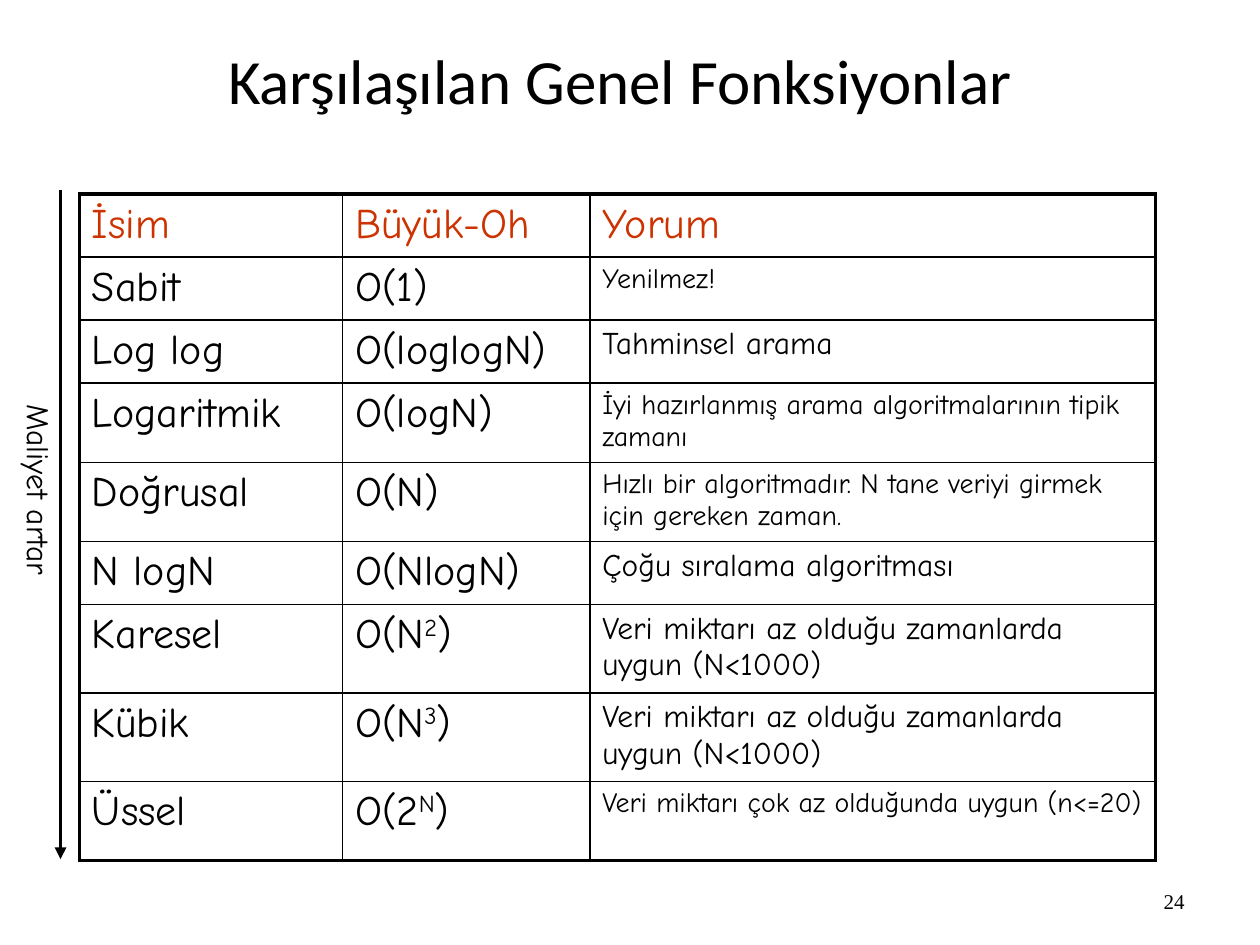
from lxml import etree
from pptx import Presentation
from pptx.dml.color import RGBColor
from pptx.enum.shapes import MSO_CONNECTOR
from pptx.enum.text import MSO_ANCHOR, MSO_AUTO_SIZE, PP_ALIGN
from pptx.oxml import parse_xml
from pptx.oxml.ns import nsdecls, qn
from pptx.util import Cm, Pt

STRAIGHT = MSO_CONNECTOR.STRAIGHT
MIDDLE = MSO_ANCHOR.MIDDLE
LEFT, CENTER, RIGHT = PP_ALIGN.LEFT, PP_ALIGN.CENTER, PP_ALIGN.RIGHT
FIT_SHAPE = MSO_AUTO_SIZE.SHAPE_TO_FIT_TEXT

BLACK = RGBColor(0x00, 0x00, 0x00)
RED = RGBColor(0xCC, 0x33, 0x00)
TITLE_ONLY = 5
THIN, THICK = 1, 2.25

COLUMN_WIDTHS = (5.31, 4.98, 11.4)
HEADER = ("İsim", "Büyük-Oh", "Yorum")
# name, cost as (base, exponent, end), comment, comment size, row height
FUNCTIONS = (
    ("Sabit", ("O(1)",), "Yenilmez!", 16, 1.27),
    ("Log log", ("O(loglogN)",), "Tahminsel arama", 18, 1.27),
    ("Logaritmik", ("O(logN)",),
     "İyi hazırlanmış arama algoritmalarının tipik zamanı", 16, 1.6),
    ("Doğrusal", ("O(N)",),
     "Hızlı bir algoritmadır. N tane veriyi girmek için gereken zaman.", 16, 1.6),
    ("N logN", ("O(NlogN)",), "Çoğu sıralama algoritması", 18, 1.27),
    ("Karesel", ("O(N", "2", ")"),
     "Veri miktarı az olduğu zamanlarda uygun (N<1000)", 18, 1.78),
    ("Kübik", ("O(N", "3", ")"),
     "Veri miktarı az olduğu zamanlarda uygun (N<1000)", 18, 1.78),
    ("Üssel", ("O(2", "N", ")"),
     "Veri miktarı çok az olduğunda uygun (n<=20)", 16, 1.6),
)


class SlideBuilder:
    title_font = "Calibri"
    body_font = "Comic Neue"
    number_font = "Times New Roman"

    def __init__(self, prs):
        self.s = prs.slides.add_slide(prs.slide_layouts[TITLE_ONLY])

    def add_runs(self, tf, parts, size, font, color=BLACK, align=LEFT):
        """Fill the first paragraph; every second part is superscript."""
        p = tf.paragraphs[0]
        p.alignment = align
        for i, part in enumerate(parts):
            r = p.add_run()
            r.text = part
            r.font.size, r.font.name = Pt(size), font
            r.font.color.rgb = color
            if i % 2:
                r.font._element.set("baseline", "30000")

    def title(self, text, x, y, w, h):
        sp = self.s.shapes.title
        sp.left, sp.top, sp.width, sp.height = Cm(x), Cm(y), Cm(w), Cm(h)
        sp.text_frame.vertical_anchor = MIDDLE
        self.add_runs(sp.text_frame, (text,), 36, self.title_font, align=CENTER)

    def text(self, text, x, y, w, h, size, font, align=LEFT):
        sp = self.s.shapes.add_textbox(Cm(x), Cm(y), Cm(w), Cm(h))
        sp.text_frame.word_wrap = True
        self.add_runs(sp.text_frame, (text,), size, font, align=align)
        return sp

    def arrow(self, x1, y1, x2, y2):
        line = self.s.shapes.add_connector(STRAIGHT, Cm(x1), Cm(y1), Cm(x2), Cm(y2))
        line.line.color.rgb = BLACK
        line.line.width = Pt(THICK)
        ln = line._element.spPr.find(qn("a:ln"))
        etree.SubElement(ln, qn("a:tailEnd"), type="triangle")
        etree.SubElement(line._element.spPr, qn("a:effectLst"))

    def borders(self, cell, widths):
        """Set left, right, top and bottom borders, given in points."""
        tcPr = cell._tc.get_or_add_tcPr()
        for i, (side, width) in enumerate(zip("LRTB", widths)):
            tcPr.insert(i, parse_xml(
                f'<a:ln{side} {nsdecls("a")} w="{int(Pt(width))}"><a:solidFill>'
                f'<a:srgbClr val="{BLACK}"/></a:solidFill></a:ln{side}>'))

    def table(self, x, y, widths, heights, rows):
        """Each row holds (parts, size, color) for every cell."""
        n_rows, n_cols = len(rows), len(widths)
        table = self.s.shapes.add_table(n_rows, n_cols, Cm(x), Cm(y),
                                        Cm(sum(widths)), Cm(sum(heights))).table
        table.first_row = table.horz_banding = False
        for col, width in zip(table.columns, widths):
            col.width = Cm(width)
        for i, (row, height) in enumerate(zip(rows, heights)):
            table.rows[i].height = Cm(height)
            for j, (parts, size, color) in enumerate(row):
                cell = table.cell(i, j)
                cell.fill.background()
                self.add_runs(cell.text_frame, parts, size, self.body_font, color)
                outer = (j == 0, j == n_cols - 1, i == 0, i == n_rows - 1)
                self.borders(cell, [THICK if edge else THIN for edge in outer])


def main():
    prs = Presentation()
    prs.slide_width, prs.slide_height = Cm(25.4), Cm(19.05)
    slide = SlideBuilder(prs)

    slide.title("Karşılaşılan Genel Fonksiyonlar", 1.12, 0.53, 22.76, 2.13)

    rows = [[((name,), 24, RED) for name in HEADER]]
    heights = [1.27]
    for name, cost, comment, size, height in FUNCTIONS:
        rows.append([((name,), 24, BLACK), (cost, 24, BLACK),
                     ((comment,), size, BLACK)])
        heights.append(height)
    slide.table(1.6, 3.91, COLUMN_WIDTHS, heights, rows)

    slide.arrow(1.22, 3.84, 1.22, 17.32)
    label = slide.text("Maliyet artar", -1.47, 9.65, 4.52, 1.02, 18, slide.body_font)
    label.rotation = 90
    label.text_frame.word_wrap = False
    label.text_frame.auto_size = FIT_SHAPE

    number = slide.text("24", 18.21, 17.65, 5.92, 1.02, 12, slide.number_font, RIGHT)
    number.text_frame.vertical_anchor = MIDDLE

    prs.save("out.pptx")


if __name__ == "__main__":
    main()
